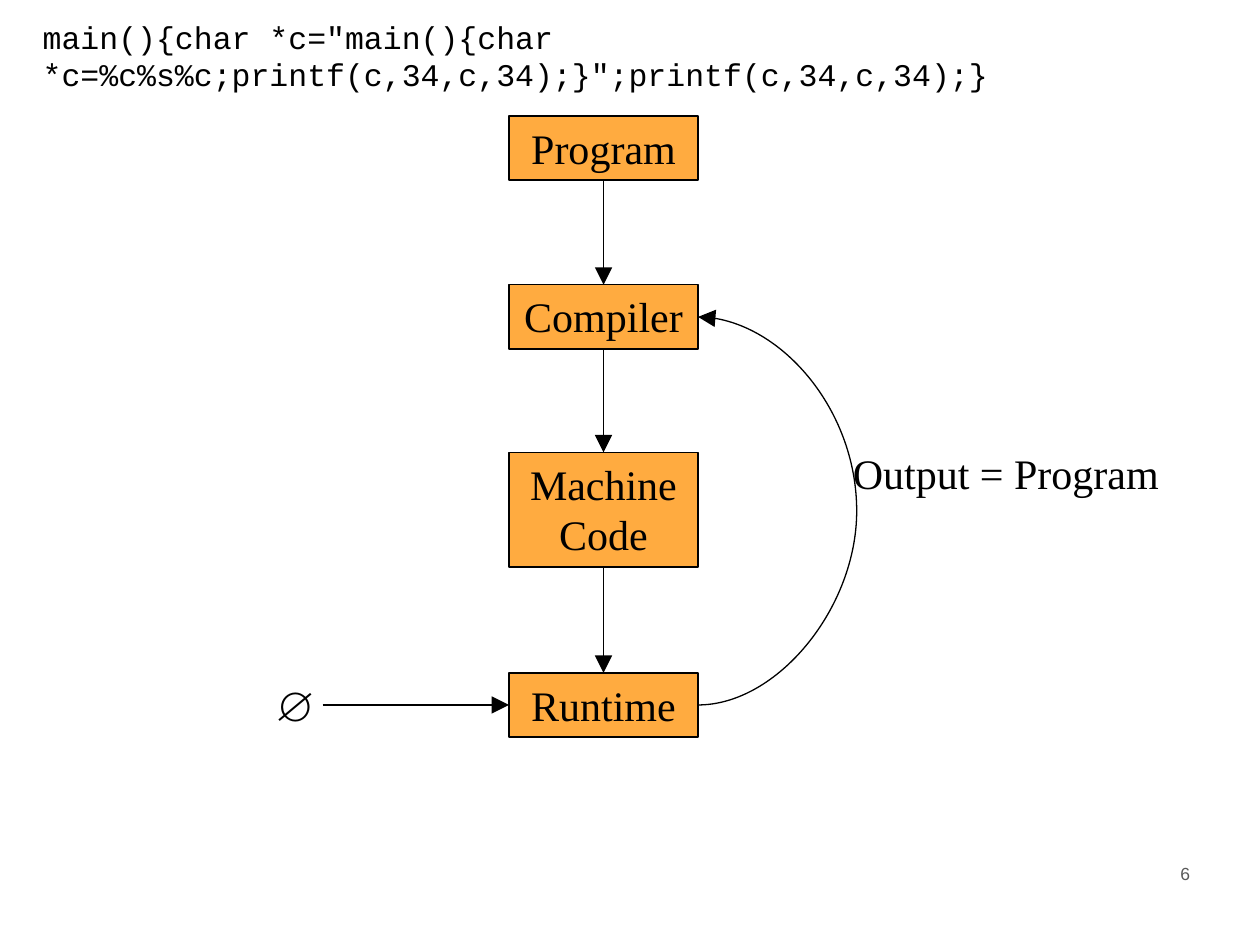
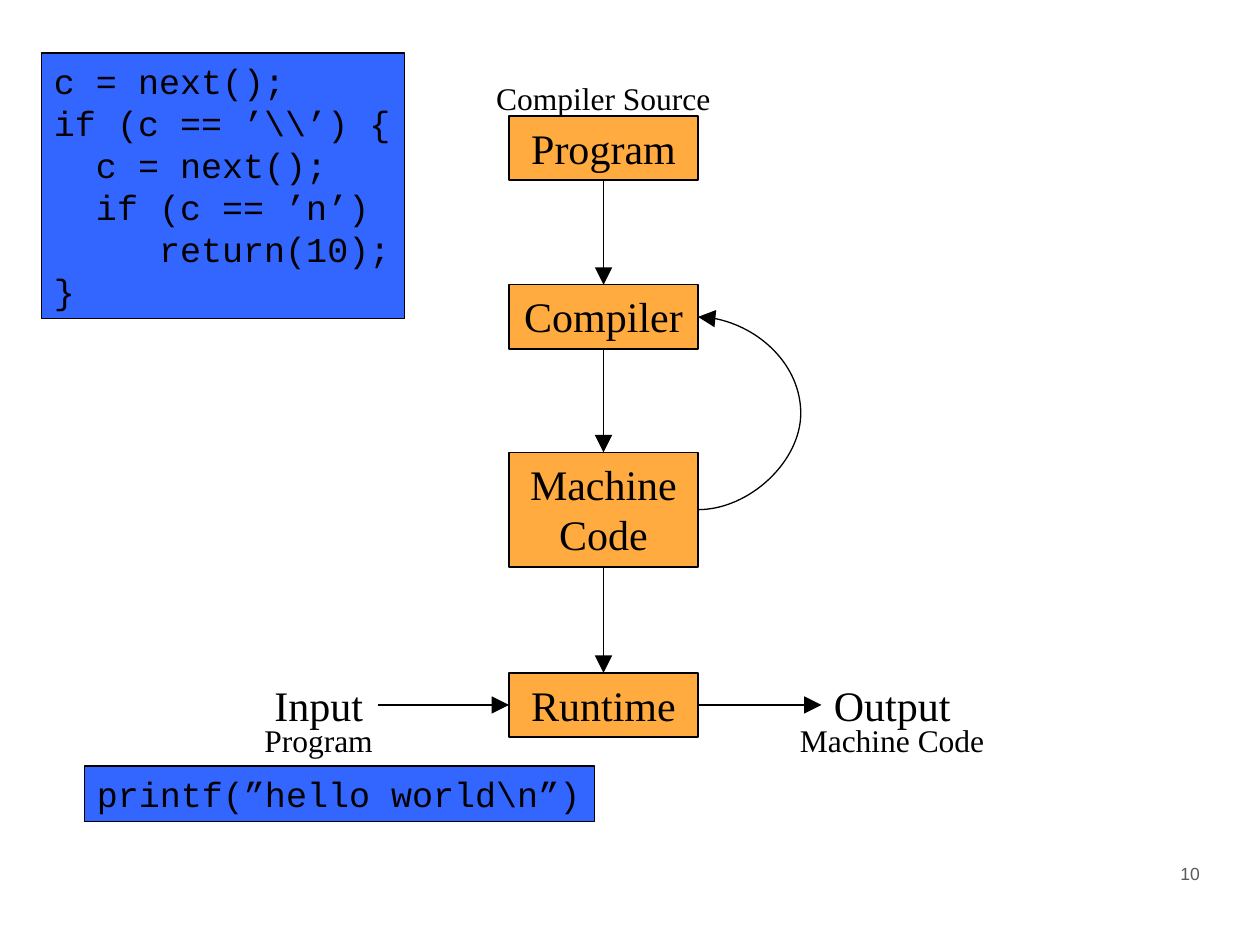
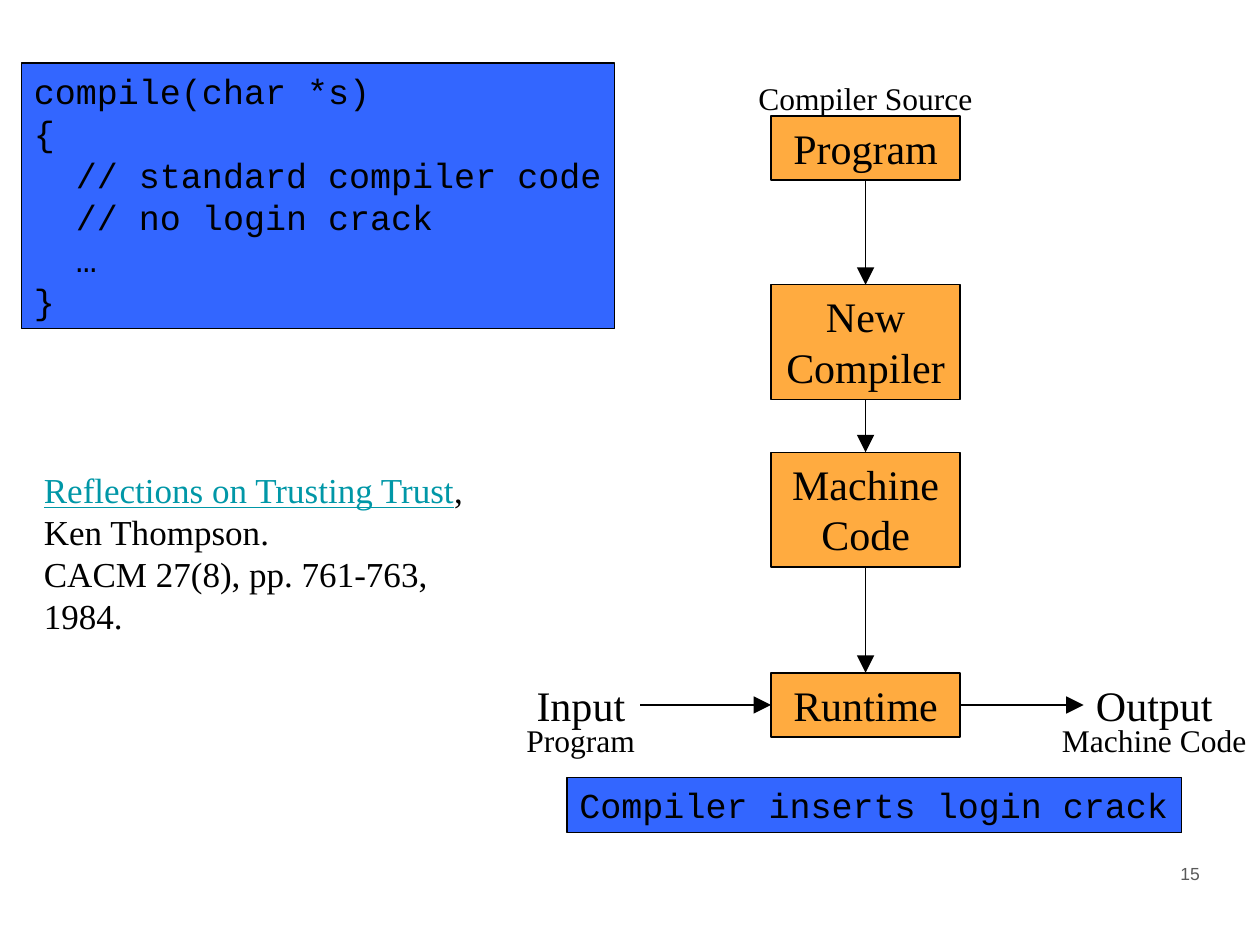
import pptx
import pptx.dml.color
import pptx.enum.shapes
import pptx.enum.text
import pptx.util
from dataclasses import dataclass
from lxml import etree
from pptx.oxml.ns import qn
from pptx.util import Inches

# Content
FLOWS = [
    {
        "number": "6", "left": 4.04,
        "stages": ["Program", "Compiler", "Machine Code", "Runtime"],
        "input": ("∅", 0.48), "output": None,
        "loop": ("Runtime", "Compiler", 1.05),
        "captions": False, "code": [],
    },
    {
        "number": "10", "left": 4.04,
        "stages": ["Program", "Compiler", "Machine Code", "Runtime"],
        "input": ("Input", 0.92), "output": ("Output", 1.14),
        "loop": ("Machine Code", "Compiler", 0.68),
        "captions": True,
        "code": [
            ((0.33, 0.42, 2.88, 2.11), [
                "c = next();",
                "if (c == ’\\\\’) {",
                "  c = next();",
                "  if (c == ’n’)",
                "     return(10);",
                "}",
            ]),
            ((0.67, 6.08, 4.05, 0.44), ["printf(”hello world\\n”)"]),
        ],
    },
    {
        "number": "15", "left": 6.12,
        "stages": ["Program", "New Compiler", "Machine Code", "Runtime"],
        "input": ("Input", 0.92), "output": ("Output", 1.14),
        "loop": None,
        "captions": True,
        "code": [
            ((0.17, 0.5, 4.71, 2.11), [
                "compile(char *s)",
                "{",
                "  // standard compiler code",
                "  // no login crack",
                "  …",
                "}",
            ]),
            ((4.5, 6.17, 4.88, 0.44), ["Compiler inserts login crack"]),
        ],
    },
]
QUINE = 'main(){char *c="main(){char *c=%c%s%c;printf(c,34,c,34);}";printf(c,34,c,34);}'
LOOP_LABEL = "Output = Program"
PAPER_TITLE = "Reflections on Trusting Trust"
CITATION = [PAPER_TITLE + ",", "Ken Thompson.", "CACM 27(8), pp. 761-763, 1984."]
# Caption text, offset from the flow's left edge, top, width
CAPTIONS = [
    ("Compiler Source", -0.2, 0.58, 1.9),
    ("Program", -2.04, 5.67, 1.06),
    ("Machine Code", 2.21, 5.67, 1.67),
]


@dataclass(frozen=True)
class Theme:
    black: str = "000000"
    stage: str = "FFAB40"
    code: str = "3366FF"
    link: str = "0097A7"
    muted: str = "595959"
    serif: str = "Times New Roman"
    mono: str = "Courier New"
    sans: str = "Arial"
    stage_size: int = 24
    code_size: int = 20
    caption_size: int = 18
    footer_size: int = 10
    line: float = 0.75


THEME = Theme()

# Flow layout, in inches
STAGE_TOPS = (0.92, 2.26, 3.59, 5.34)
STAGE_WIDTH, ONE_LINE, TWO_LINES = 1.5, 0.51, 0.91
INPUT_OFFSET, OUTPUT_OFFSET = -1.96, 2.48
TOP, LEFT, BOTTOM, RIGHT = range(4)  # connection sites of a rectangle
CURVE_WIDTH = 600  # EMU; the curve's bulge is a multiple of this sliver


def rgb(value):
    return pptx.dml.color.RGBColor.from_string(value)


def write(shape, lines, font, size, color=THEME.black, centred=False, wrap=True):
    frame = shape.text_frame
    frame.word_wrap = wrap
    frame.vertical_anchor = pptx.enum.text.MSO_ANCHOR.TOP
    frame.text = "\n".join(lines)
    align = pptx.enum.text.PP_ALIGN
    for paragraph in frame.paragraphs:
        paragraph.alignment = align.CENTER if centred else align.LEFT
        paragraph.font.name = font
        paragraph.font.size = pptx.util.Pt(size)
        paragraph.font.color.rgb = rgb(color)


def add_text(slide, box, lines, font, size, **style):
    shape = slide.shapes.add_textbox(*map(Inches, box))
    write(shape, lines, font, size, **style)
    return shape


def add_box(slide, box, fill, lines, font, size, **style):
    shape = slide.shapes.add_shape(
        pptx.enum.shapes.MSO_SHAPE.RECTANGLE, *map(Inches, box))
    shape.shadow.inherit = False
    shape.fill.solid()
    shape.fill.fore_color.rgb = rgb(fill)
    shape.line.color.rgb = rgb(THEME.black)
    shape.line.width = pptx.util.Pt(THEME.line)
    write(shape, lines, font, size, **style)
    return shape


def bend_right(arrow, bulge):
    """Turn an upward curved connector into an arc that bulges to the right."""
    arrow.width = pptx.util.Emu(CURVE_WIDTH)
    properties = arrow._element.spPr
    transform = properties.find(qn("a:xfrm"))
    transform.attrib.pop("flipV", None)
    transform.set("rot", str(180 * 60000))
    transform.set("flipH", "1")
    ratio = round(Inches(bulge) / CURVE_WIDTH * 100000)
    guides = properties.find(qn("a:prstGeom")).get_or_add_avLst()
    etree.SubElement(guides, qn("a:gd"), name="adj1", fmla=f"val {ratio}")


def add_arrow(slide, start, start_site, end, end_site, bulge=None):
    kinds = pptx.enum.shapes.MSO_CONNECTOR
    kind = kinds.STRAIGHT if bulge is None else kinds.CURVE
    arrow = slide.shapes.add_connector(kind, 0, 0, 0, 0)
    arrow.begin_connect(start, start_site)
    arrow.end_connect(end, end_site)
    arrow.line.color.rgb = rgb(THEME.black)
    arrow.line.width = pptx.util.Pt(THEME.line)
    etree.SubElement(arrow.line._get_or_add_ln(), qn("a:tailEnd"),
                     type="triangle", w="lg", len="lg")
    etree.SubElement(arrow._element.spPr, qn("a:effectLst"))
    if bulge is not None:
        bend_right(arrow, bulge)


def add_flow(slide, flow):
    left = flow["left"]

    # Stages and the arrows between them
    stages = {}
    for name, top in zip(flow["stages"], STAGE_TOPS):
        height = TWO_LINES if " " in name else ONE_LINE
        stages[name] = add_box(slide, (left, top, STAGE_WIDTH, height), THEME.stage,
                               [name], THEME.serif, THEME.stage_size, centred=True)
    boxes = list(stages.values())
    for upper, lower in zip(boxes, boxes[1:]):
        add_arrow(slide, upper, BOTTOM, lower, TOP)

    # Input and output of the runtime
    runtime = boxes[-1]

    def add_port(port, offset):
        text, width = port
        return add_text(slide, (left + offset, STAGE_TOPS[-1], width, ONE_LINE),
                        [text], THEME.serif, THEME.stage_size, wrap=False)

    add_arrow(slide, add_port(flow["input"], INPUT_OFFSET), RIGHT, runtime, LEFT)
    if flow["output"]:
        add_arrow(slide, runtime, RIGHT, add_port(flow["output"], OUTPUT_OFFSET), LEFT)

    # Feedback to the compiler
    if flow["loop"]:
        source, target, bulge = flow["loop"]
        add_arrow(slide, stages[source], RIGHT, stages[target], RIGHT, bulge)

    # Captions
    if flow["captions"]:
        for text, offset, top, width in CAPTIONS:
            add_text(slide, (left + offset, top, width, 0.4), [text],
                     THEME.serif, THEME.caption_size, wrap=False)


def add_citation(slide):
    shape = add_text(slide, (0.25, 3.67, 3.9, 1.1), CITATION,
                     THEME.serif, THEME.code_size)
    paragraph = shape.text_frame.paragraphs[0]
    title = paragraph.runs[0]
    title.text = PAPER_TITLE
    title.font.underline = True
    title.font.color.rgb = rgb(THEME.link)
    paragraph.add_run().text = ","


def main():
    presentation = pptx.Presentation()
    presentation.slide_width, presentation.slide_height = Inches(10), Inches(7.5)
    slides = []
    for flow in FLOWS:
        slide = presentation.slides.add_slide(presentation.slide_layouts[6])
        slides.append(slide)
        add_text(slide, (9.27, 6.8, 0.6, 0.57), [flow["number"]],
                 THEME.sans, THEME.footer_size, color=THEME.muted)
        add_flow(slide, flow)
        for box, lines in flow["code"]:
            add_box(slide, box, THEME.code, lines, THEME.mono, THEME.code_size, wrap=False)

    # Texts that appear on one slide only
    quine_slide, _, trust_slide = slides
    add_text(quine_slide, (0.24, 0.09, 9.51, 0.83), [QUINE], THEME.mono, THEME.caption_size)
    add_text(quine_slide, (6.67, 3.5, 2.74, 0.52), [LOOP_LABEL],
             THEME.serif, THEME.stage_size, wrap=False)
    add_citation(trust_slide)
    presentation.save("out.pptx")


if __name__ == "__main__":
    main()
